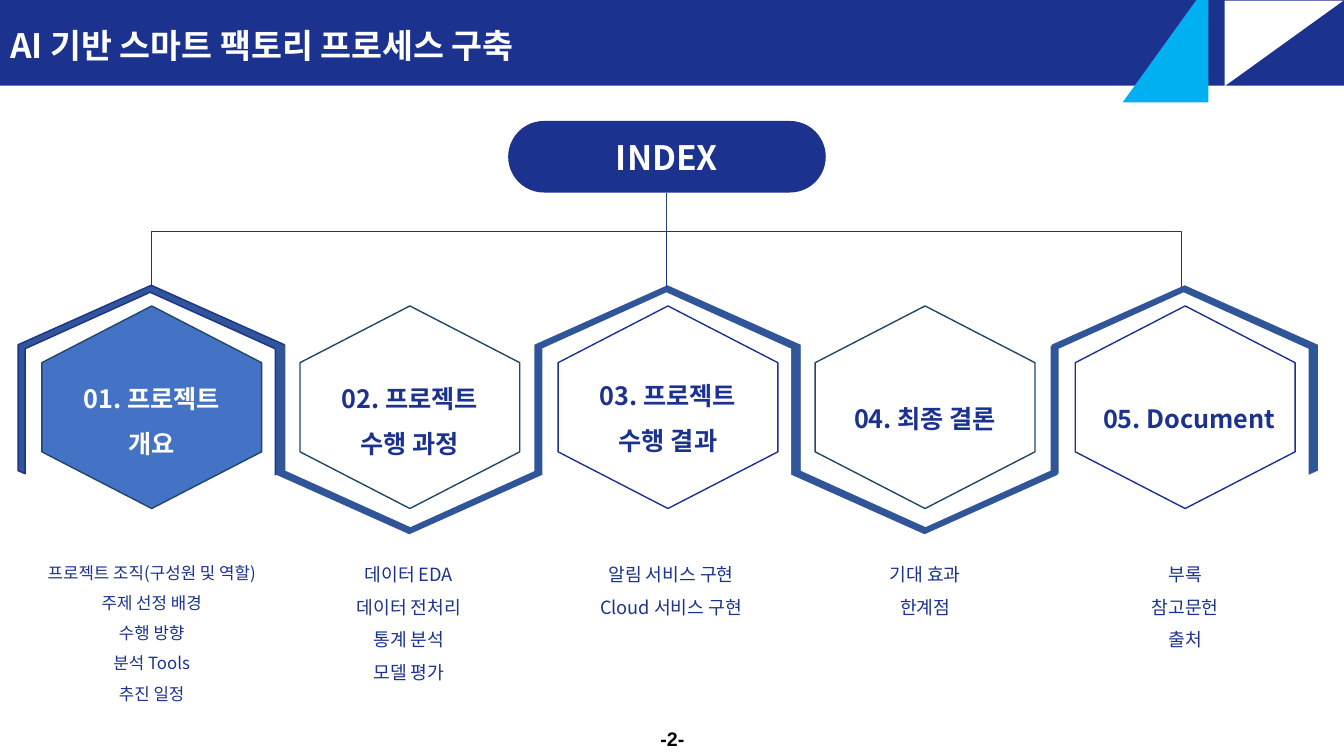
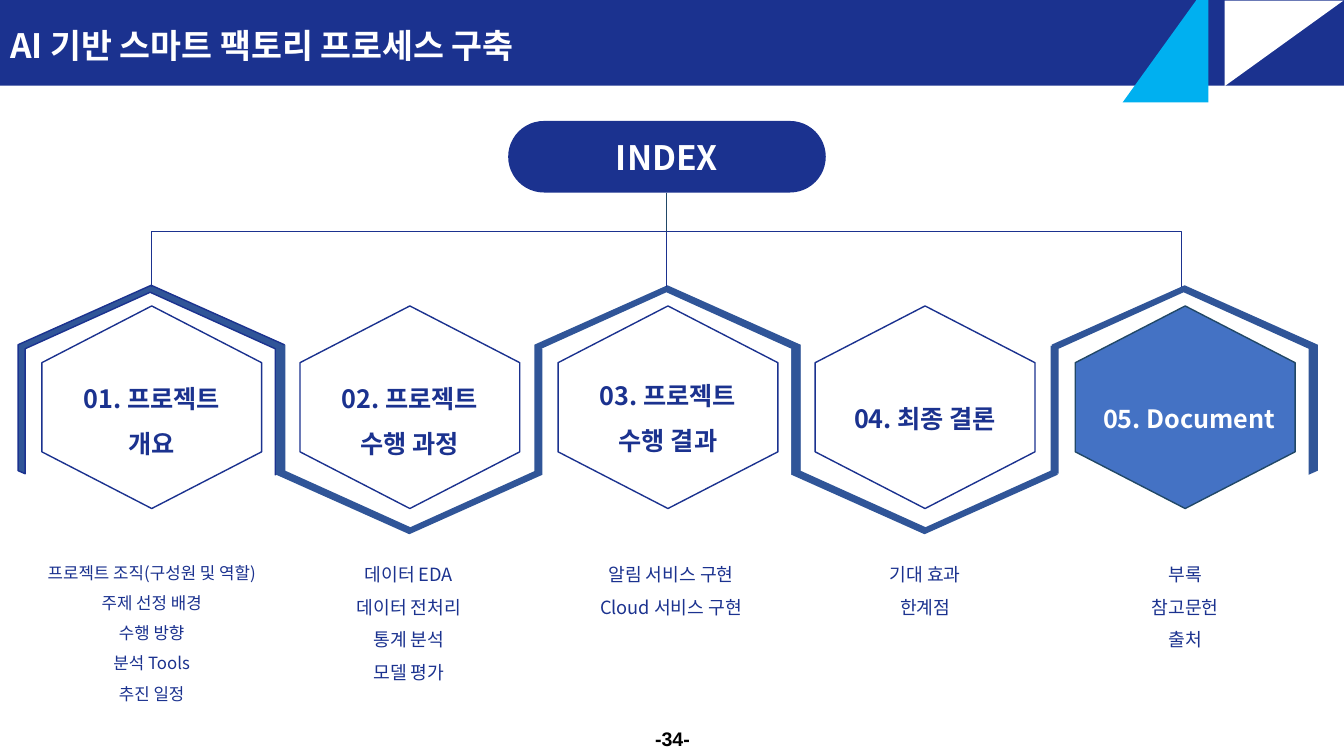
"""Build the two index slides of the smart factory presentation."""
from dataclasses import dataclass

from lxml.etree import SubElement
from pptx import Presentation
from pptx.dml.color import RGBColor
from pptx.enum.shapes import MSO_CONNECTOR, MSO_SHAPE
from pptx.enum.text import MSO_ANCHOR, MSO_AUTO_SIZE, PP_ALIGN
from pptx.oxml.ns import qn
from pptx.util import Pt

PX = 9144
SLIDE_WIDTH, SLIDE_HEIGHT = 1333, 750
NAVY = RGBColor(0x1B, 0x32, 0x8F)
STEEL = RGBColor(0x30, 0x55, 0x98)
BLUE = RGBColor(0x44, 0x72, 0xC4)
CYAN = RGBColor(0x00, 0xB0, 0xF0)
TEAL = RGBColor(0x21, 0x48, 0x67)
WHITE = RGBColor(0xFF, 0xFF, 0xFF)
BLACK = RGBColor(0x00, 0x00, 0x00)
FONT = "Noto Sans CJK KR"
PAGE_FONT = "Arial"

HEXAGON_WIDTH, HEXAGON_HEIGHT, HEXAGON_TOP = 201, 218, 295
HEADING_WIDTH, DETAILS_WIDTH, DETAILS_TOP = 225, 255, 543
ROOF_TOP, BASIN_BOTTOM = 283, 530
ROOF_OUTLINE = [(0, 0), (132, 59), (132, 184), (123, 188), (123, 63),
                (-1, 7), (-125, 63), (-125, 187), (-132, 184), (-132, 59)]


@dataclass
class Topic:
    center: int
    heading: str
    heading_center: int
    heading_top: int
    details: str
    details_center: int
    details_size: int = 13


TOPICS = [
    Topic(150, "01. 프로젝트\n개요", 150, 360,
          "프로젝트 조직(구성원 및 역할)\n주제 선정 배경\n수행 방향\n분석 Tools\n추진 일정", 150, 12),
    Topic(406, "02. 프로젝트\n수행 과정", 406, 360,
          "데이터 EDA\n데이터 전처리\n통계 분석\n모델 평가", 405),
    Topic(662, "03. 프로젝트\n수행 결과", 662, 357,
          "알림 서비스 구현\nCloud 서비스 구현", 665),
    Topic(917, "04. 최종 결론", 917, 380, "기대 효과\n한계점", 917),
    Topic(1175, "05. Document", 1179, 380, "부록\n참고문헌\n출처", 1175),
]


def px(*lengths):
    return [round(length * PX) for length in lengths]


def write(shape, text, size, color, bold=False, align=PP_ALIGN.CENTER,
          spacing=1.5, anchor=MSO_ANCHOR.TOP, font=FONT):
    frame = shape.text_frame
    frame.text = text
    frame.word_wrap = True
    frame.auto_size = MSO_AUTO_SIZE.NONE
    frame.vertical_anchor = anchor
    for paragraph in frame.paragraphs:
        paragraph.alignment = align
        paragraph.line_spacing = spacing
        for run in paragraph.runs:
            run.font.name = font
            run.font.size = Pt(size)
            run.font.bold = bold
            run.font.color.rgb = color
            SubElement(run.font._element, qn("a:ea")).set("typeface", font)


def add_text(slide, box, text, size, color, **style):
    write(slide.shapes.add_textbox(*px(*box)), text, size, color, **style)


def paint(shape, fill=None, line=None, width=1):
    shape.shadow.inherit = False
    if fill is None:
        shape.fill.background()
    else:
        shape.fill.solid()
        shape.fill.fore_color.rgb = fill
    if line is None:
        shape.line.fill.background()
    else:
        shape.line.color.rgb = line
        shape.line.width = Pt(width)


def add_preset(slide, preset, box, rotation=0, adjustments=(), **colors):
    shape = slide.shapes.add_shape(preset, *px(*box))
    shape.rotation = rotation
    for index, value in enumerate(adjustments):
        shape.adjustments[index] = value
    paint(shape, **colors)
    return shape


def add_frame(slide, center, opens_down, line):
    apex_y, sign = (ROOF_TOP, 1) if opens_down else (BASIN_BOTTOM, -1)
    points = [(center + sign * x, apex_y + sign * y) for x, y in ROOF_OUTLINE]
    builder = slide.shapes.build_freeform(*points[0], scale=PX)
    builder.add_line_segments(points[1:], close=True)
    paint(builder.convert_to_shape(), STEEL, line)


def add_topic(slide, topic, active, outline, opens_down, frame_line):
    add_frame(slide, topic.center, opens_down, frame_line)
    add_preset(slide, MSO_SHAPE.HEXAGON,
               (topic.center - HEXAGON_WIDTH // 2, HEXAGON_TOP,
                HEXAGON_WIDTH, HEXAGON_HEIGHT),
               270, (0.28, 1.155), fill=BLUE if active else WHITE, line=outline)
    add_text(slide, (topic.heading_center - HEADING_WIDTH // 2, topic.heading_top,
                     HEADING_WIDTH, 101),
             topic.heading, 18, WHITE if active else NAVY, bold=True)
    add_text(slide, (topic.details_center - DETAILS_WIDTH // 2, DETAILS_TOP,
                     DETAILS_WIDTH, 162),
             topic.details, topic.details_size, NAVY)


def add_index_tree(slide):
    for left in (378, 889):
        add_preset(slide, MSO_SHAPE.LEFT_BRACKET, (left, 2, 55, 511), 90, (0,),
                   line=NAVY, width=0.75)
    index = add_preset(slide, MSO_SHAPE.ROUNDED_RECTANGLE, (504, 120, 315, 71),
                       adjustments=(0.5,), fill=NAVY)
    write(index, "INDEX", 24, WHITE, bold=True, spacing=1, anchor=MSO_ANCHOR.MIDDLE)
    stem = slide.shapes.add_connector(MSO_CONNECTOR.STRAIGHT, *px(661, 191, 661.5, 230))
    stem.begin_connect(index, 2)
    stem.line.color.rgb = TEAL
    stem.line.width = Pt(0.75)
    SubElement(stem._element.spPr, qn("a:effectLst"))


def add_header(slide):
    title = slide.shapes.title
    title.left, title.top, title.width, title.height = px(0, 0, SLIDE_WIDTH, 85)
    title.fill.solid()
    title.fill.fore_color.rgb = NAVY
    write(title, "AI 기반 스마트 팩토리 프로세스 구축", 24, WHITE, bold=True,
          align=PP_ALIGN.LEFT)
    add_preset(slide, MSO_SHAPE.RIGHT_TRIANGLE, (1231, -16, 85, 118), 90, fill=WHITE)
    add_preset(slide, MSO_SHAPE.RIGHT_TRIANGLE, (1097, 0, 118, 85), 270, fill=CYAN)


def add_index_slide(deck, page, active, teal_outlines):
    slide = deck.slides.add_slide(deck.slide_layouts[5])
    add_header(slide)
    for position, topic in enumerate(TOPICS):
        add_topic(slide, topic, position == active,
                  TEAL if position in teal_outlines else NAVY,
                  opens_down=position % 2 == 0,
                  frame_line=NAVY if position == 0 else None)
    add_index_tree(slide)
    add_text(slide, (517, 715, 300, 35), f"-{page}-", 14, BLACK, bold=True,
             spacing=1, anchor=MSO_ANCHOR.MIDDLE, font=PAGE_FONT)


def main():
    deck = Presentation()
    deck.slide_width, deck.slide_height = px(SLIDE_WIDTH, SLIDE_HEIGHT)
    add_index_slide(deck, page=2, active=0, teal_outlines={0, 1, 3})
    add_index_slide(deck, page=34, active=4, teal_outlines={4})
    deck.save("out.pptx")


if __name__ == "__main__":
    main()
